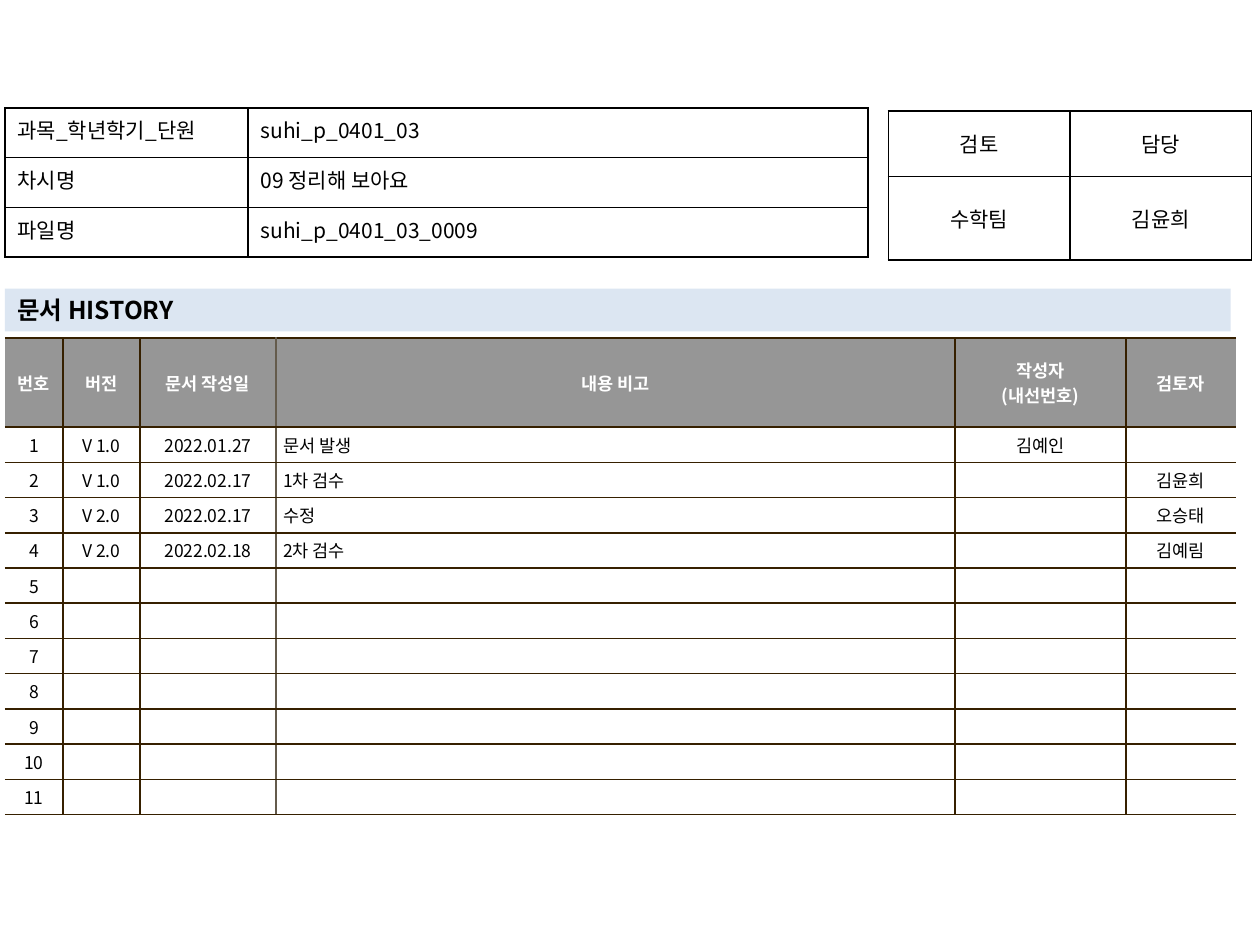
from lxml.etree import SubElement
from pptx import Presentation
from pptx.dml.color import RGBColor
from pptx.enum.shapes import MSO_SHAPE
from pptx.enum.text import MSO_ANCHOR, PP_ALIGN
from pptx.oxml.ns import qn
from pptx.util import Cm, Pt

FONT = "Noto Sans CJK KR"
BLACK = "000000"
WHITE = "FFFFFF"
BROWN = "362000"
TAUPE = "645B4C"
GREY = "969696"
PALE_BLUE = "DCE6F2"


def colour(value):
    return RGBColor.from_string(value)


def write_text(text_frame, text, size, text_colour=BLACK, bold=False, alignment=PP_ALIGN.LEFT):
    text_frame.text = text
    for paragraph in text_frame.paragraphs:
        paragraph.alignment = alignment
        for run in paragraph.runs:
            run.font.size = Pt(size)
            run.font.bold = bold
            run.font.color.rgb = colour(text_colour)
            run.font.name = FONT
            SubElement(run.font._element, qn("a:ea"), typeface=FONT)
        if not paragraph.runs:
            SubElement(paragraph._p, qn("a:endParaRPr"), sz=str(size * 100))


def set_borders(cell, left, right, top, bottom):
    properties = cell._tc.get_or_add_tcPr()
    for side, value in zip("LRTB", (left, right, top, bottom)):
        line = SubElement(properties, qn(f"a:ln{side}"), w=str(Pt(1)))
        if value:
            fill = SubElement(line, qn("a:solidFill"))
            SubElement(fill, qn("a:srgbClr"), val=value)
        else:
            SubElement(line, qn("a:noFill"))


def add_grid(slide, left, top, widths, heights):
    frame = slide.shapes.add_table(
        len(heights), len(widths), Cm(left), Cm(top), Cm(sum(widths)), Cm(sum(heights)))
    table = frame.table
    table.first_row = False
    table.horz_banding = False
    for column, width in zip(table.columns, widths):
        column.width = Cm(width)
    for row, height in zip(table.rows, heights):
        row.height = Cm(height)
    return table


def add_boxed_table(slide, left, top, widths, heights, rows, alignments, anchor):
    table = add_grid(slide, left, top, widths, heights)
    for row_index, row in enumerate(rows):
        for column_index, text in enumerate(row):
            cell = table.cell(row_index, column_index)
            set_borders(cell, BLACK, BLACK, BLACK, BLACK)
            cell.fill.background()
            cell.vertical_anchor = anchor
            write_text(cell.text_frame, text, 12, alignment=alignments[column_index])


def add_history_title(slide, left, top, width, height):
    shape = slide.shapes.add_shape(
        MSO_SHAPE.RECTANGLE, Cm(left), Cm(top), Cm(width), Cm(height))
    shape.shadow.inherit = False
    shape.fill.solid()
    shape.fill.fore_color.rgb = colour(PALE_BLUE)
    shape.line.fill.background()
    shape.text_frame.word_wrap = True
    write_text(shape.text_frame, "문서 HISTORY", 14, bold=True)


def add_history_table(slide, left, top):
    headings = ["번호", "버전", "문서 작성일", "내용 비고", "작성자\n(내선번호)", "검토자"]
    entries = [
        ["V 1.0", "2022.01.27", "문서 발생", "김예인", ""],
        ["V 1.0", "2022.02.17", "1차 검수", "", "김윤희"],
        ["V 2.0", "2022.02.17", "수정", "", "오승태"],
        ["V 2.0", "2022.02.18", "2차 검수", "", "김예림"],
    ]
    entries += [[""] * 5] * 7
    rows = [headings] + [[str(number), *entry] for number, entry in enumerate(entries, 1)]
    widths = [1.17, 1.55, 2.74, 13.69, 3.45, 2.21]
    verticals = [None, BROWN, BROWN, TAUPE, BROWN, BROWN, None]
    note_column = 3

    table = add_grid(slide, left, top, widths, [1.8] + [0.71] * len(entries))
    for row_index, row in enumerate(rows):
        is_heading = row_index == 0
        for column_index, text in enumerate(row):
            cell = table.cell(row_index, column_index)
            set_borders(cell, verticals[column_index], verticals[column_index + 1], BROWN, BROWN)
            cell.fill.solid()
            cell.fill.fore_color.rgb = colour(GREY if is_heading else WHITE)
            cell.vertical_anchor = MSO_ANCHOR.MIDDLE
            cell.margin_left = cell.margin_right = Cm(0.15)
            cell.margin_top = cell.margin_bottom = Cm(0.1)
            is_note = column_index == note_column and not is_heading
            write_text(cell.text_frame, text, 10, WHITE if is_heading else BLACK, is_heading,
                       PP_ALIGN.LEFT if is_note else PP_ALIGN.CENTER)


def main():
    presentation = Presentation()
    presentation.slide_width = Cm(25.4)
    presentation.slide_height = Cm(19.05)
    slide = presentation.slides.add_slide(presentation.slide_layouts[6])

    add_history_table(slide, 0.1, 6.81)
    add_boxed_table(slide, 17.91, 2.24, [3.66] * 2, [1.32, 1.68],
                    [["검토", "담당"], ["수학팀", "김윤희"]],
                    [PP_ALIGN.CENTER] * 2, MSO_ANCHOR.MIDDLE)
    add_history_title(slide, 0.1, 5.82, 24.71, 0.86)
    add_boxed_table(slide, 0.1, 2.18, [4.9, 12.5], [1] * 3,
                    [["과목_학년학기_단원", "suhi_p_0401_03"],
                     ["차시명", "09 정리해 보아요"],
                     ["파일명", "suhi_p_0401_03_0009"]],
                    [PP_ALIGN.JUSTIFY, PP_ALIGN.LEFT], MSO_ANCHOR.TOP)
    presentation.save("out.pptx")


if __name__ == "__main__":
    main()
